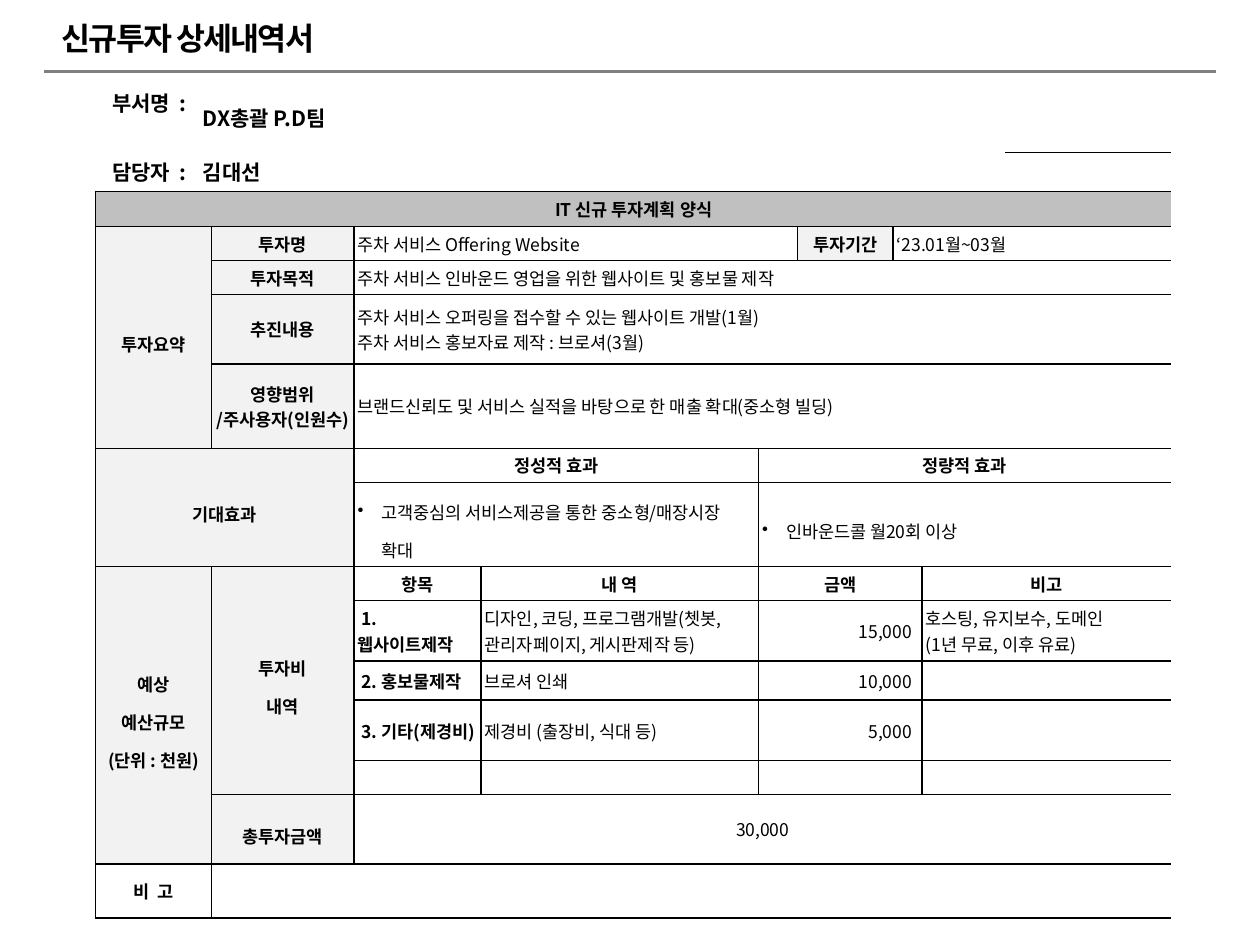
import pptx
import pptx.util
import pptx.dml.color
import pptx.enum.text
import pptx.oxml
import pptx.oxml.ns
import lxml.etree

Inches = pptx.util.Inches
Pt = pptx.util.Pt
ANCHOR = pptx.enum.text.MSO_ANCHOR
ALIGN = {"l": pptx.enum.text.PP_ALIGN.LEFT,
         "c": pptx.enum.text.PP_ALIGN.CENTER,
         "r": pptx.enum.text.PP_ALIGN.RIGHT}
FONT = "Noto Sans CJK KR"
BLACK, WHITE, GRAY, LIGHT = "000000", "FFFFFF", "C0C0C0", "F2F2F2"
qn = pptx.oxml.ns.qn


def color(hex_string):
    return pptx.dml.color.RGBColor.from_string(hex_string)


def add_run(paragraph, text, size, bold):
    run = paragraph.add_run()
    run.text = text
    run.font.size = Pt(size)
    run.font.bold = bold
    run.font.name = FONT
    run.font.color.rgb = color(BLACK)
    properties = run._r.get_or_add_rPr()
    lxml.etree.SubElement(properties, qn("a:ea")).set("typeface", FONT)
    return properties


presentation = pptx.Presentation()
presentation.slide_width = Inches(10)
presentation.slide_height = Inches(7.5)
slide = presentation.slides.add_slide(presentation.slide_layouts[6])

# Title and rule
rule = slide.shapes.add_connector(pptx.enum.shapes.MSO_CONNECTOR.STRAIGHT,
                                  Inches(0.35), Inches(0.57), Inches(9.65), Inches(0.57))
rule.line.color.rgb = color("808080")
rule.line.width = Pt(1.5)
lxml.etree.SubElement(rule._element.spPr, qn("a:effectLst"))

title = slide.shapes.add_textbox(Inches(0.49), Inches(0.16), Inches(4.07), Inches(0.28))
frame = title.text_frame
frame.word_wrap = True
frame.margin_left = frame.margin_right = frame.margin_top = frame.margin_bottom = 0
frame.vertical_anchor = ANCHOR.MIDDLE
add_run(frame.paragraphs[0], "신규투자 상세내역서", 18, True).set("spc", "-100")

# Table grid
column_widths = [0.82, 0.09, 1.13, 1.01, 0.59, 1.61, 0.31, 0.76, 0.23, 0.66, 1.32]
row_heights = [0.55, 0.31, 0.28, 0.27, 0.27, 0.55, 0.67, 0.27, 0.67,
               0.27, 0.48, 0.31, 0.48, 0.27, 0.55, 0.43]
graphic_frame = slide.shapes.add_table(
    len(row_heights), len(column_widths), Inches(0.76), Inches(0.66),
    Inches(sum(column_widths)), Inches(sum(row_heights)))
table = graphic_frame.table
table.first_row = table.horz_banding = False
no_style = "{2D5ABB26-0587-4C30-8999-92F81FD0307C}"
table._tbl.tblPr.find(qn("a:tableStyleId")).text = no_style
for column, width in zip(table.columns, column_widths):
    column.width = Inches(width)
for row, height in zip(table.rows, row_heights):
    row.height = Inches(height)

# Cells: row, column, row span, column span, paragraphs, style
heading = {"align": "c", "bold": True}
label = {**heading, "fill": LIGHT}
loose_label = {**label, "spacing": 1.5}
number = {"align": "r", "right": 0.08}
person = {"bold": True, "size": 12, "fill": None}
person_label = {**person, "left": 0.13, "right": 0, "anchor": ANCHOR.TOP}
bullet = {"bullet": "•", "spacing": 1.5}
cells = [
    (0, 0, 1, 1, ["부서명  :"], person_label),
    (0, 1, 1, 10, ["DX총괄 P.D팀"], person),
    (1, 0, 1, 1, ["담당자  :"], person_label),
    (1, 1, 1, 4, ["김대선"], {**person, "anchor": ANCHOR.TOP}),
    (1, 5, 1, 1, [], person),
    (1, 6, 1, 2, [], person),
    (1, 8, 1, 2, [], person),
    (1, 10, 1, 1, [], person),
    (2, 0, 1, 11, ["IT 신규 투자계획 양식"], {**heading, "fill": GRAY}),
    # Summary
    (3, 0, 4, 2, ["투자요약"], loose_label),
    (3, 2, 1, 1, ["투자명"], label),
    (3, 3, 1, 4, ["주차 서비스 Offering Website"], {}),
    (3, 7, 1, 1, ["투자기간"], label),
    (3, 8, 1, 3, ["‘23.01월~03월"], {}),
    (4, 2, 1, 1, ["투자목적"], label),
    (4, 3, 1, 8, ["주차 서비스 인바운드 영업을 위한 웹사이트 및 홍보물 제작"], {}),
    (5, 2, 1, 1, ["추진내용"], label),
    (5, 3, 1, 8, ["주차 서비스 오퍼링을 접수할 수 있는 웹사이트 개발(1월)",
                  "주차 서비스 홍보자료 제작 : 브로셔(3월)"], {}),
    (6, 2, 1, 1, ["영향범위\n/주사용자(인원수)"], label),
    (6, 3, 1, 8, ["브랜드신뢰도 및 서비스 실적을 바탕으로 한 매출 확대(중소형 빌딩)"], {}),
    # Expected effects
    (7, 0, 2, 3, ["기대효과"], loose_label),
    (7, 3, 1, 3, ["정성적 효과"], heading),
    (7, 6, 1, 5, ["정량적 효과"], heading),
    (8, 3, 1, 3, ["고객중심의 서비스제공을 통한 중소형/매장시장 확대"], bullet),
    (8, 6, 1, 5, ["인바운드콜 월20회 이상"], bullet),
    # Budget
    (9, 0, 6, 2, ["예상\n예산규모", "(단위 : 천원)"], loose_label),
    (9, 2, 5, 1, ["투자비\n내역"], loose_label),
    (14, 2, 1, 1, ["총투자금액"], loose_label),
    (14, 3, 1, 8, ["30,000"], {"align": "c"}),
    (15, 0, 1, 2, ["비  고"], heading),
    (15, 2, 1, 9, [], {}),
]
budget_rows = [
    (["항목"], ["내 역"], ["금액"], ["비고"]),
    ([" 1. 웹사이트제작"], ["디자인, 코딩, 프로그램개발(쳇봇,관리자페이지, 게시판제작 등)"],
     ["15,000"], ["호스팅, 유지보수, 도메인", "(1년 무료, 이후 유료)"]),
    ([" 2. 홍보물제작"], ["브로셔 인쇄"], ["10,000"], []),
    ([" 3. 기타(제경비)"], ["제경비 (출장비, 식대 등)"], ["5,000"], []),
    ([], [], [], []),
]
budget_columns = [(3, 1, {"bold": True}), (4, 2, {}), (6, 3, number), (9, 2, {})]
for offset, texts in enumerate(budget_rows):
    for (left, span, style), text in zip(budget_columns, texts):
        cells.append((9 + offset, left, 1, span, text, style if offset else heading))

for top, left, row_span, column_span, texts, style in cells:
    bottom, right = top + row_span - 1, left + column_span - 1
    cell = table.cell(top, left)
    if (top, left) != (bottom, right):
        cell.merge(table.cell(bottom, right))
    cell.vertical_anchor = style.get("anchor", ANCHOR.MIDDLE)
    cell.margin_left = Inches(style.get("left", 0.03))
    cell.margin_right = Inches(style.get("right", 0.03))
    cell.margin_top = cell.margin_bottom = Inches(0.03)

    # Text
    for index, text in enumerate(texts):
        text_frame = cell.text_frame
        paragraph = text_frame.add_paragraph() if index else text_frame.paragraphs[0]
        paragraph.alignment = ALIGN[style.get("align", "l")]
        paragraph.line_spacing = style.get("spacing", 1.0)
        if "bullet" in style:
            properties = paragraph._p.get_or_add_pPr()
            properties.set("marL", str(Inches(0.19)))
            properties.set("indent", str(-Inches(0.19)))
            lxml.etree.SubElement(properties, qn("a:buChar")).set("char", style["bullet"])
        for line_index, line in enumerate(text.split("\n")):
            if line_index:
                paragraph.add_line_break()
            add_run(paragraph, line, style.get("size", 10), style.get("bold", False))

    # Borders on the outer edges of the span, then fill
    for row_index in range(top, bottom + 1):
        for column_index in range(left, right + 1):
            part = table.cell(row_index, column_index)
            if not part.text_frame.text:
                end = lxml.etree.SubElement(part.text_frame.paragraphs[0]._p, qn("a:endParaRPr"))
                end.set("sz", "1000")
            framed = row_index >= 2
            edges = {
                "a:lnL": framed and column_index == left,
                "a:lnR": framed and column_index == right,
                "a:lnT": framed and row_index == top or (row_index, column_index) == (1, 10),
                "a:lnB": framed and row_index == bottom or row_index == 1,
            }
            for tag, visible in edges.items():
                if visible:
                    border = lxml.etree.SubElement(part._tc.get_or_add_tcPr(), qn(tag), w=str(Pt(1)))
                    solid = lxml.etree.SubElement(border, qn("a:solidFill"))
                    lxml.etree.SubElement(solid, qn("a:srgbClr"), val=BLACK)
            fill = style.get("fill", WHITE)
            if fill:
                part.fill.solid()
                part.fill.fore_color.rgb = color(fill)
            else:
                part.fill.background()

presentation.save("out.pptx")
